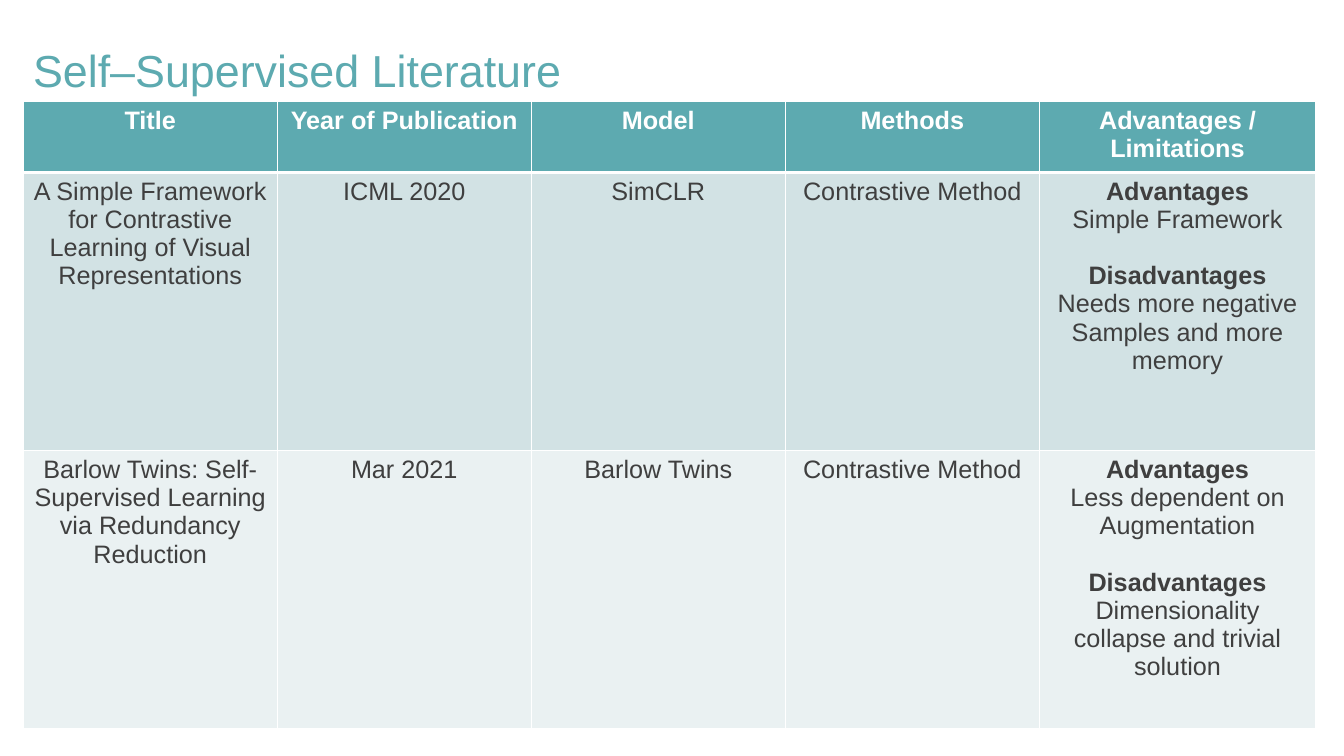
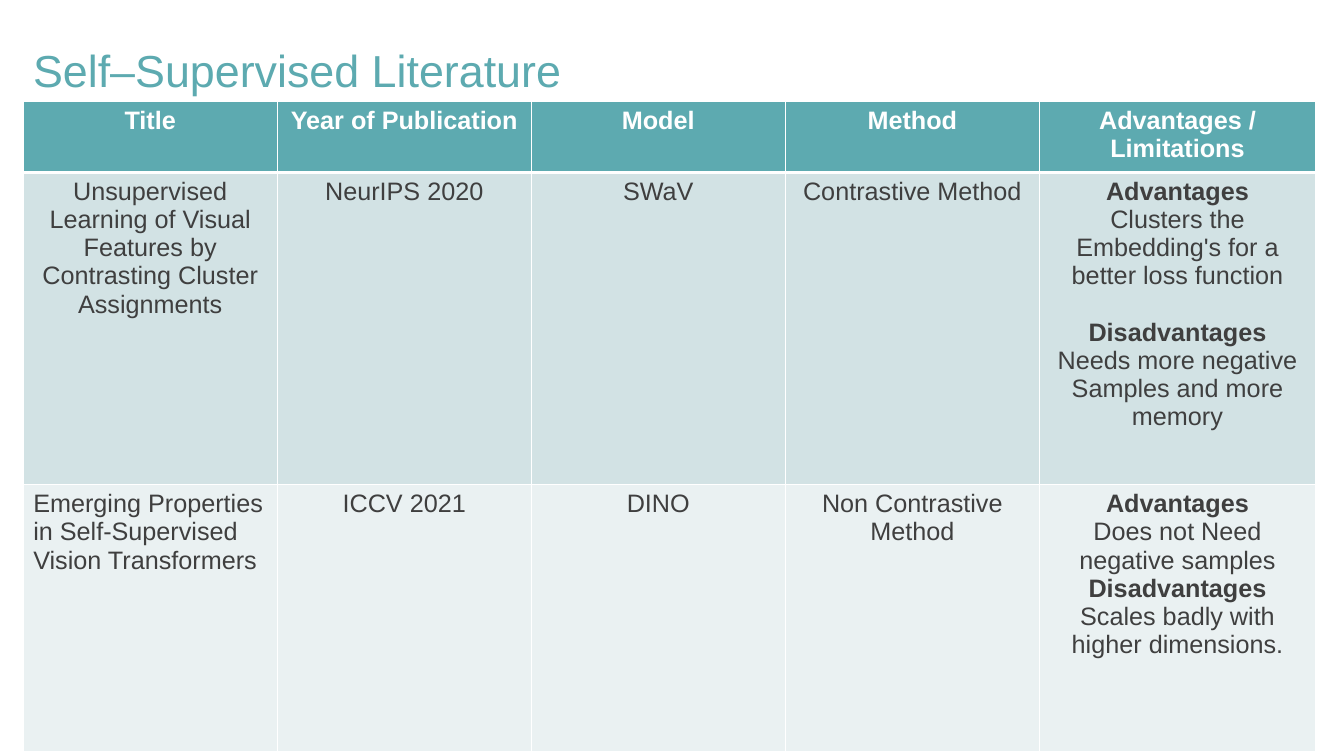
from dataclasses import dataclass

from lxml.etree import SubElement
from pptx import Presentation
from pptx.dml.color import RGBColor
from pptx.enum.text import MSO_AUTO_SIZE, PP_ALIGN
from pptx.oxml.ns import qn
from pptx.util import Inches, Pt


@dataclass(frozen=True)
class Theme:
    font: str = "Arial"
    accent: str = "5DAAB0"
    white: str = "FFFFFF"
    ink: str = "3F3F3F"
    bands: tuple = ("D2E2E4", "EAF1F2")
    title_size: int = 32
    table_size: int = 18
    section_gap: int = 20
    thin_border: int = 1
    header_border: int = 3


@dataclass(frozen=True)
class Paper:
    title: str
    venue: str
    model: str
    method: str
    advantage: str
    disadvantage: str
    title_align: PP_ALIGN = PP_ALIGN.CENTER
    spaced: bool = True


THEME = Theme()
SLIDE_WIDTH, SLIDE_HEIGHT = 13.33, 7.5
LEFT = 0.23
TITLE_TOP, TITLE_WIDTH, TITLE_HEIGHT = 0.37, 5.69, 0.64
TABLE_TOP = TITLE_TOP + TITLE_HEIGHT
COLUMNS = [2.52] * 4 + [2.74]
HEADING = "Self–Supervised Literature"


def style_paragraph(para, text, size, color, bold=False, align=PP_ALIGN.LEFT):
    para.text = text
    para.alignment = align
    para.font.name = THEME.font
    para.font.size = Pt(size)
    para.font.bold = bold
    para.font.color.rgb = RGBColor.from_string(color)


def add_title(page, text):
    box = page.shapes.add_textbox(
        Inches(LEFT), Inches(TITLE_TOP), Inches(TITLE_WIDTH), Inches(TITLE_HEIGHT)
    )
    frame = box.text_frame
    frame.word_wrap = True
    frame.auto_size = MSO_AUTO_SIZE.SHAPE_TO_FIT_TEXT
    style_paragraph(frame.paragraphs[0], text, THEME.title_size, THEME.accent)


def set_borders(cell, top, bottom):
    properties = cell._tc.get_or_add_tcPr()
    widths = {"L": THEME.thin_border, "R": THEME.thin_border, "T": top, "B": bottom}
    for side, width in widths.items():
        line = SubElement(properties, qn(f"a:ln{side}"), w=str(Pt(width)))
        fill = SubElement(line, qn("a:solidFill"))
        SubElement(fill, qn("a:srgbClr"), val=THEME.white)


def format_cell(cell, fill, top=THEME.thin_border, bottom=THEME.thin_border):
    set_borders(cell, top, bottom)
    cell.fill.solid()
    cell.fill.fore_color.rgb = RGBColor.from_string(fill)


def fill_header(cell, label):
    format_cell(cell, THEME.accent, bottom=THEME.header_border)
    style_paragraph(cell.text_frame.paragraphs[0], label, THEME.table_size,
                    THEME.white, True, PP_ALIGN.CENTER)


def fill_review(cell, paper):
    frame = cell.text_frame
    lines = ["Advantages", paper.advantage, "Disadvantages", paper.disadvantage]
    for index, text in enumerate(lines):
        para = frame.add_paragraph() if index else frame.paragraphs[0]
        style_paragraph(para, text, THEME.table_size, THEME.ink,
                        index % 2 == 0, PP_ALIGN.CENTER)
    if paper.spaced:
        frame.paragraphs[2].space_before = Pt(THEME.section_gap)


def fill_paper(cells, paper, band, top):
    for cell in cells:
        format_cell(cell, band, top=top)
    facts = [paper.title, paper.venue, paper.model, paper.method]
    aligns = [paper.title_align] + [PP_ALIGN.CENTER] * 3
    for cell, text, align in zip(cells, facts, aligns):
        style_paragraph(cell.text_frame.paragraphs[0], text, THEME.table_size,
                        THEME.ink, align=align)
    fill_review(cells[-1], paper)


def add_literature_table(page, method_label, papers, heights):
    table = page.shapes.add_table(
        len(heights), len(COLUMNS), Inches(LEFT), Inches(TABLE_TOP),
        Inches(sum(COLUMNS)), Inches(sum(heights))
    ).table
    for column, width in zip(table.columns, COLUMNS):
        column.width = Inches(width)
    for row, height in zip(table.rows, heights):
        row.height = Inches(height)
    header, *body = [list(row.cells) for row in table.rows]
    labels = ["Title", "Year of Publication", "Model", method_label,
              "Advantages / Limitations"]
    for cell, label in zip(header, labels):
        fill_header(cell, label)
    tops = [THEME.header_border, THEME.thin_border]
    for cells, paper, band, top in zip(body, papers, THEME.bands, tops):
        fill_paper(cells, paper, band, top)


def add_literature_page(deck, method_label, papers, heights):
    page = deck.slides.add_slide(deck.slide_layouts[6])
    add_title(page, HEADING)
    add_literature_table(page, method_label, papers, heights)


def main():
    deck = Presentation()
    deck.slide_width = Inches(SLIDE_WIDTH)
    deck.slide_height = Inches(SLIDE_HEIGHT)
    add_literature_page(deck, "Methods", [
        Paper(
            "A Simple Framework for Contrastive Learning of Visual Representations",
            "ICML 2020", "SimCLR", "Contrastive Method",
            "Simple Framework",
            "Needs more negative Samples and more memory",
        ),
        Paper(
            "Barlow Twins: Self-Supervised Learning via Redundancy Reduction",
            "Mar 2021", "Barlow Twins", "Contrastive Method",
            "Less dependent on Augmentation",
            "Dimensionality collapse and trivial solution",
        ),
    ], [0.7, 2.76, 2.76])
    add_literature_page(deck, "Method", [
        Paper(
            "Unsupervised Learning of Visual Features by Contrasting Cluster Assignments",
            "NeurIPS 2020", "SWaV", "Contrastive Method",
            "Clusters the Embedding's for a better loss function",
            "Needs more negative Samples and more memory",
        ),
        Paper(
            "Emerging Properties in Self-Supervised Vision Transformers",
            "ICCV 2021", "DINO", "Non Contrastive Method",
            "Does not Need negative samples",
            "Scales badly with higher dimensions.",
            title_align=PP_ALIGN.LEFT, spaced=False,
        ),
    ], [0.7, 3.1, 2.65])
    deck.save("out.pptx")


if __name__ == "__main__":
    main()
